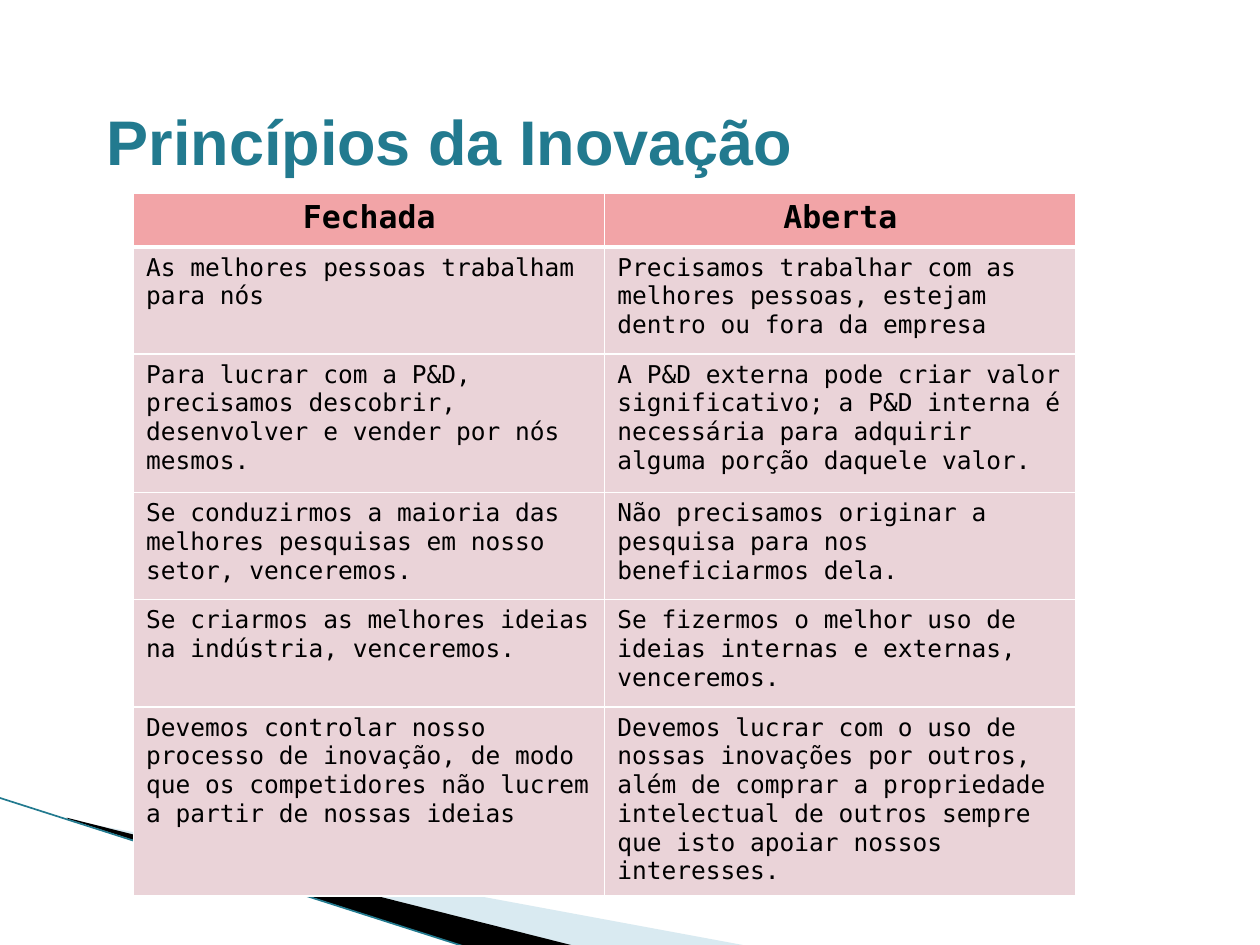
from pptx import Presentation
from pptx.dml.color import RGBColor
from pptx.enum.shapes import MSO_CONNECTOR
from pptx.enum.text import MSO_ANCHOR, PP_ALIGN
from pptx.oxml.ns import qn
from pptx.util import Inches, Pt
from lxml import etree

STRAIGHT = MSO_CONNECTOR.STRAIGHT
MIDDLE = MSO_ANCHOR.MIDDLE
LEFT, CENTER = PP_ALIGN.LEFT, PP_ALIGN.CENTER
TEAL = RGBColor(0x22, 0x7A, 0x8F)
SKY = RGBColor(0xA0, 0xCB, 0xDC)
BLACK = RGBColor(0, 0, 0)
ROSE = RGBColor(0xF2, 0xA4, 0xA7)
PINK = RGBColor(0xEA, 0xD3, 0xD8)
WHITE = RGBColor(0xFF, 0xFF, 0xFF)


def write(frame, text, font, size, color, bold, align):
    para = frame.paragraphs[0]
    para.alignment = align
    run = para.add_run()
    run.text = text
    run.font.name = font
    run.font.size = Pt(size)
    run.font.bold = bold
    run.font.color.rgb = color


def border(cell, side, width):
    line = etree.SubElement(cell._tc.get_or_add_tcPr(), qn("a:" + side), w=str(Pt(width)))
    fill = etree.SubElement(line, qn("a:solidFill"))
    etree.SubElement(fill, qn("a:srgbClr"), val=str(WHITE))


prs = Presentation()
prs.slide_width = Inches(10)
prs.slide_height = Inches(7.5)
slide = prs.slides.add_slide(prs.slide_layouts[6])
shapes = slide.shapes

waves = [
    (SKY, 40, [(0.55, 6.51), (5.95, 7.51), (4.56, 7.51), (0.55, 6.5)]),
    (BLACK, 100, [(0.53, 6.49), (4.57, 7.51), (3.72, 7.52), (0.54, 6.5)]),
]
for color, alpha, points in waves:
    points = [(Inches(x), Inches(y)) for x, y in points]
    pen = shapes.build_freeform(*points[0])
    pen.add_line_segments(points[1:], close=True)
    wave = pen.convert_to_shape()
    wave.shadow.inherit = False
    wave.fill.solid()
    wave.fill.fore_color.rgb = color
    wave.line.fill.background()
    if alpha < 100:
        tint = wave.fill._xPr.find(".//" + qn("a:srgbClr"))
        etree.SubElement(tint, qn("a:alpha"), val=str(alpha * 1000))

edge = shapes.add_connector(STRAIGHT, Inches(-0.01), Inches(6.33), Inches(3.71), Inches(7.52))
edge.line.color.rgb = TEAL
edge.line.width = Pt(0.95)
etree.SubElement(edge._element.spPr, qn("a:effectLst"))

title = shapes.add_textbox(Inches(0.75), Inches(0.76), Inches(7.8), Inches(0.71))
title.text_frame.word_wrap = True
title.text_frame.vertical_anchor = MIDDLE
write(title.text_frame, "Princípios da Inovação", "Arial", 36, TEAL, True, LEFT)

rows = [
    (0.43, "Fechada", "Aberta"),
    (0.85, "As melhores pessoas trabalham para nós",
     "Precisamos trabalhar com as melhores pessoas, estejam dentro ou fora da empresa"),
    (1.1, "Para lucrar com a P&D, precisamos descobrir, desenvolver e vender por nós mesmos.",
     "A P&D externa pode criar valor significativo; a P&D interna é necessária "
     "para adquirir alguma porção daquele valor."),
    (0.85, "Se conduzirmos a maioria das melhores pesquisas em nosso setor, venceremos.",
     "Não precisamos originar a pesquisa para nos beneficiarmos dela."),
    (0.85, "Se criarmos as melhores ideias na indústria, venceremos.",
     "Se fizermos o melhor uso de ideias internas e externas, venceremos."),
    (1.35, "Devemos controlar nosso processo de inovação, de modo que os competidores "
     "não lucrem a partir de nossas ideias",
     "Devemos lucrar com o uso de nossas inovações por outros, além de comprar a "
     "propriedade intelectual de outros sempre que isto apoiar nossos interesses."),
]
table = shapes.add_table(len(rows), 2, Inches(1.06), Inches(1.53), Inches(7.48), Inches(5.43)).table
for col in table.columns:
    col.width = Inches(3.74)
for r, (height, *texts) in enumerate(rows):
    table.rows[r].height = Inches(height)
    head = r == 0
    for c, text in enumerate(texts):
        cell = table.cell(r, c)
        write(cell.text_frame, text, "DejaVu Sans Mono", 18 if head else 14,
              BLACK, head, CENTER if head else LEFT)
        for side in ("lnL", "lnR", "lnT", "lnB"):
            thick = head and side == "lnB" or r == 1 and side == "lnT"
            border(cell, side, 3 if thick else 1)
        cell.fill.solid()
        cell.fill.fore_color.rgb = ROSE if head else PINK

prs.save("out.pptx")
